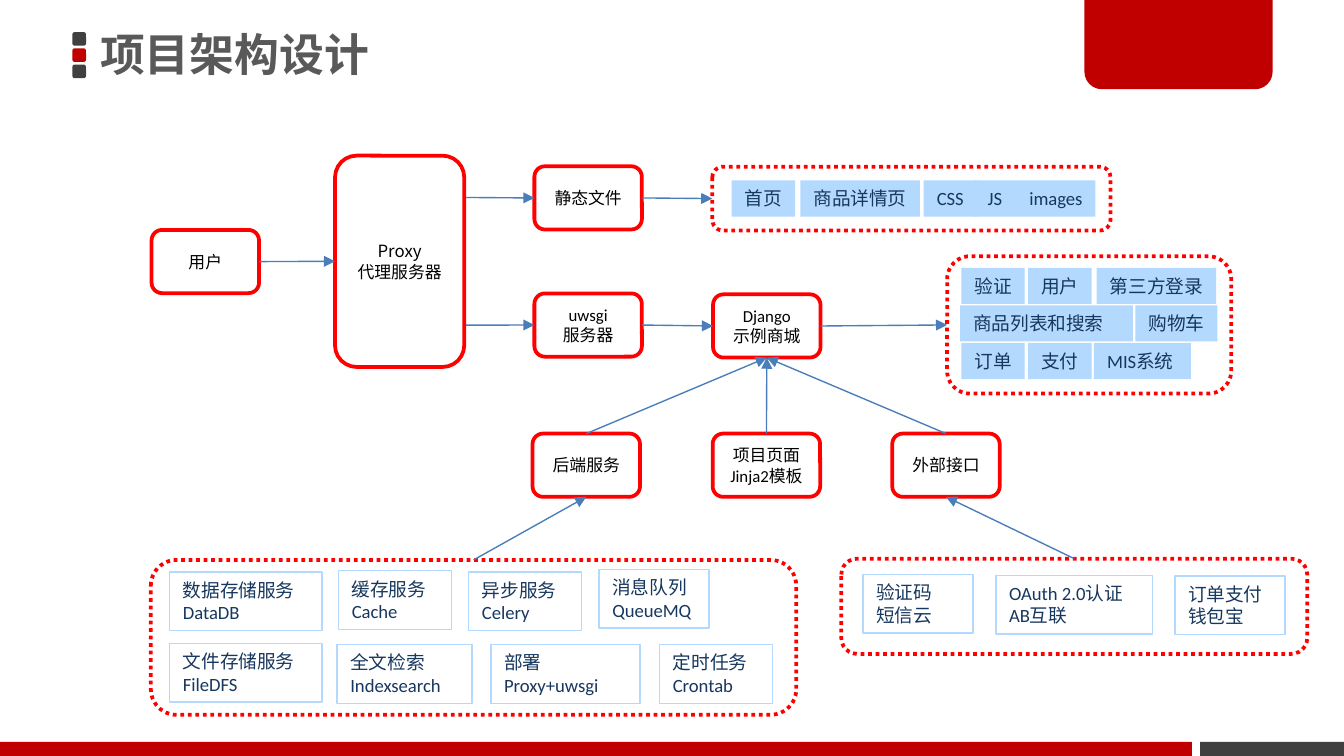
import pptx
import pptx.dml.color
import pptx.enum.dml
import pptx.enum.lang
import pptx.enum.shapes
import pptx.enum.text
import pptx.oxml.ns
import pptx.util
from lxml import etree

Pt = pptx.util.Pt
SHAPES = pptx.enum.shapes.MSO_SHAPE
ALIGN = pptx.enum.text.PP_ALIGN
ANCHOR = pptx.enum.text.MSO_ANCHOR
CJK = "Noto Sans CJK SC"
RED, DARK, GREY, WHITE, BLACK = "C00000", "404040", "595959", "FFFFFF", "000000"
OUTLINE, CHIP, NAVY, ARROW = "FF0000", "B3D9FF", "17375E", "4A7EBB"


def color(value):
    return pptx.dml.color.RGBColor.from_string(value)


def add_box(shapes, kind, place, fill, line=None, weight=2, text="",
            size=10, ink=NAVY, font="Calibri"):
    """Add a filled shape, with an optional outline and text, and return it."""
    box = shapes.add_shape(kind, *map(Pt, place))
    box.shadow.inherit = False
    box.fill.solid()
    box.fill.fore_color.rgb = color(fill)
    if line:
        box.line.color.rgb = color(line)
        box.line.width = Pt(weight)
    else:
        box.line.fill.background()
    if text:
        frame = box.text_frame
        frame.text = text
        frame.word_wrap = True
        frame.vertical_anchor = ANCHOR.TOP
        for para in frame.paragraphs:
            para.alignment = ALIGN.LEFT
            for span in para.runs:
                span.font.size = Pt(size)
                span.font.name = font
                span.font.color.rgb = color(ink)
                span.font.language_id = pptx.enum.lang.MSO_LANGUAGE_ID.SIMPLIFIED_CHINESE
    return box


deck = pptx.Presentation()
deck.slide_width, deck.slide_height = Pt(720), Pt(405)
page = deck.slides.add_slide(deck.slide_layouts[5])

# Page frame: title marker, corner tab and footer bars
for row, fill in enumerate((DARK, RED, DARK)):
    add_box(page.shapes, SHAPES.ROUNDED_RECTANGLE, (38.8, 17.2 + 8.7 * row, 7.3, 7.3), fill)
add_box(page.shapes, SHAPES.RECTANGLE, (643, 397.5, 77, 7.5), DARK)
add_box(page.shapes, SHAPES.RECTANGLE, (0, 397.5, 638.6, 7.5), RED)
tab = add_box(page.shapes, SHAPES.ROUND_2_SAME_RECTANGLE, (581, -1.4, 100.8, 49.2), RED)
tab.adjustments[0], tab.adjustments[1] = 0, 0.19

title = page.shapes.title
title.left, title.top, title.width, title.height = Pt(48.2), Pt(-1.4), Pt(209.5), Pt(64)
frame = title.text_frame
frame.text = "项目架构设计"
frame.auto_size = pptx.enum.text.MSO_AUTO_SIZE.NONE
frame.vertical_anchor = ANCHOR.MIDDLE
frame.margin_left = frame.margin_right = Pt(5.4)
frame.margin_top = frame.margin_bottom = Pt(2.7)
para = frame.paragraphs[0]
para.alignment = ALIGN.LEFT
para.line_spacing = 0.9
font = para.runs[0].font
font.size, font.bold, font.name = Pt(24), True, CJK
font.color.rgb = color(GREY)
font.language_id = pptx.enum.lang.MSO_LANGUAGE_ID.SIMPLIFIED_CHINESE

# Components: text, left, top, width, height, font
NODE = (57.6, 33.9)
components = {
    "user": ("用户", 81.2, 123.2, *NODE, CJK),
    "proxy": ("Proxy\n代理服务器", 179.5, 83.4, 69.2, 113.2, CJK),
    "static": ("静态文件", 286.3, 89.1, *NODE, CJK),
    "uwsgi": ("uwsgi\n服务器", 286.3, 157.2, *NODE, "Calibri"),
    "django": ("Django\n示例商城", 382, 157.7, *NODE, "Calibri"),
    "backend": ("后端服务", 285.3, 232.3, *NODE, "Calibri"),
    "template": ("项目页面\nJinja2模板", 381.8, 232.3, *NODE, "Calibri"),
    "external": ("外部接口", 478, 232.3, *NODE, "Calibri"),
}
boxes = {}
for name, (text, *place, face) in components.items():
    box = add_box(page.shapes, SHAPES.ROUNDED_RECTANGLE, place, WHITE, OUTLINE,
                  text=text, size=9, ink=BLACK, font=face)
    box.text_frame.vertical_anchor = ANCHOR.MIDDLE
    for para in box.text_frame.paragraphs:
        para.alignment = ALIGN.CENTER
    boxes[name] = box

# Dotted panels: place, then items as text, left, top, width
panels = {
    "files": ((381.6, 89.3, 213.3, 34.2), [
        ("首页", 392, 96.7, 34), ("商品详情页", 428.8, 96.7, 64),
        ("CSS", 494.8, 96.7, 28.8), ("JS", 522, 96.7, 22.3), ("images", 544.3, 96.7, 42.5)]),
    "modules": ((507.4, 137.3, 152.2, 73.6), [
        ("验证", 515, 143.5, 34), ("用户", 550.8, 143.5, 34), ("第三方登录", 587.5, 143.5, 64),
        ("商品列表和搜索", 514.3, 163.6, 92.6), ("购物车", 608.2, 163.6, 44),
        ("订单", 515, 183.7, 34), ("支付", 550.8, 183.7, 34), ("MIS系统", 586.1, 183.7, 52)]),
    "services": ((80.8, 300, 345.8, 83), [
        ("数据存储服务\nDataDB", 90.9, 306.4, 81.6), ("缓存服务\nCache", 181.4, 305.8, 60.6),
        ("异步服务Celery", 251.1, 306.4, 60.6), ("消息队列QueueMQ", 320.9, 305, 59),
        ("文件存储服务\nFileDFS", 90.9, 344.8, 81.6), ("全文检索Indexsearch", 180.6, 345.4, 72.2),
        ("部署\nProxy+uwsgi", 263, 345.4, 79.9), ("定时任务Crontab", 353.4, 345.4, 60.6)]),
    "partners": ((450.7, 299.3, 249.6, 51), [
        ("验证码\n短信云", 462.4, 307.8, 59), ("OAuth 2.0认证\nAB互联", 533.5, 308.2, 84),
        ("订单支付\n钱包宝", 629.4, 308.7, 59)]),
}
for name, (place, items) in panels.items():
    group = page.shapes.add_group_shape()
    panel = add_box(group.shapes, SHAPES.ROUNDED_RECTANGLE, place, WHITE, OUTLINE)
    panel.line.dash_style = pptx.enum.dml.MSO_LINE.ROUND_DOT
    boxes[name] = panel
    is_chip = name in ("files", "modules")
    for text, left, top, width in items:
        if is_chip:
            chip = add_box(group.shapes, SHAPES.RECTANGLE, (left, top, width, 19.4), CHIP, text=text)
            chip.text_frame.margin_right = 0
        else:
            add_box(group.shapes, SHAPES.RECTANGLE, (left, top, width, 31.4), WHITE, CHIP, 0.75, text)

# Arrows: start box (or point) and side, end box and side
TOP, LEFT, BOTTOM, RIGHT = range(4)
arrows = [
    ("user", RIGHT, "proxy", LEFT),
    ((249.6, 105.8), None, "static", LEFT),
    ((249.6, 174.2), None, "uwsgi", LEFT),
    ("static", RIGHT, "files", LEFT),
    ("uwsgi", RIGHT, "django", LEFT),
    ("django", RIGHT, "modules", LEFT),
    ("backend", TOP, "django", BOTTOM),
    ("template", TOP, "django", BOTTOM),
    ("external", TOP, "django", BOTTOM),
    ("services", TOP, "backend", BOTTOM),
    ("partners", TOP, "external", BOTTOM),
]
for start, start_side, end, end_side in arrows:
    x, y = (0, 0) if start in boxes else start
    arrow = page.shapes.add_connector(
        pptx.enum.shapes.MSO_CONNECTOR.STRAIGHT, Pt(x), Pt(y), Pt(x), Pt(y))
    if start in boxes:
        arrow.begin_connect(boxes[start], start_side)
    arrow.end_connect(boxes[end], end_side)
    arrow.line.color.rgb = color(ARROW)
    arrow.line.width = Pt(0.75)
    properties = arrow.element.spPr
    line = properties.find(pptx.oxml.ns.qn("a:ln"))
    etree.SubElement(line, pptx.oxml.ns.qn("a:tailEnd"), type="triangle")
    etree.SubElement(properties, pptx.oxml.ns.qn("a:effectLst"))

deck.save("out.pptx")
